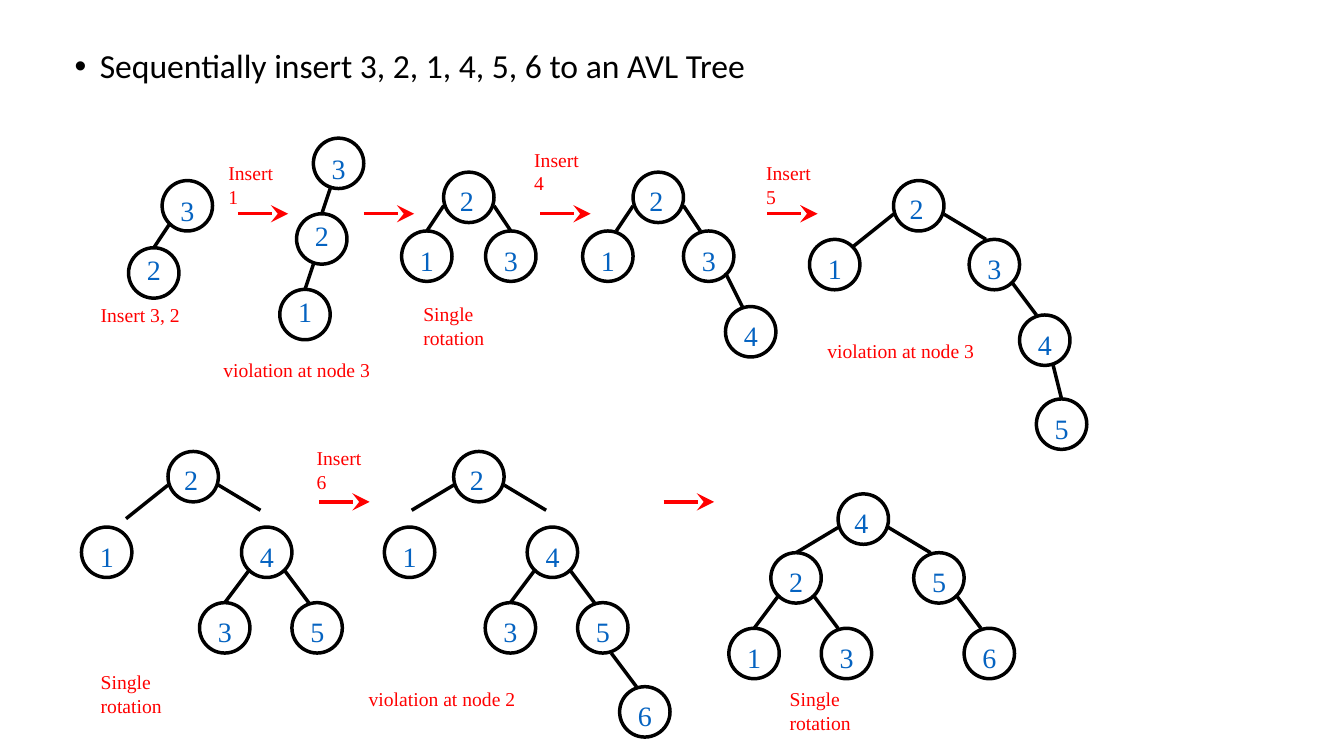
from dataclasses import dataclass
from typing import Optional

from lxml.etree import SubElement
from pptx import Presentation
from pptx.dml.color import RGBColor
from pptx.enum.shapes import MSO_CONNECTOR, MSO_SHAPE
from pptx.enum.text import MSO_AUTO_SIZE
from pptx.oxml.ns import qn
from pptx.util import Inches, Pt

BLACK = RGBColor(0x00, 0x00, 0x00)
RED = RGBColor(0xFF, 0x00, 0x00)
BLUE = RGBColor(0x05, 0x63, 0xC1)

# Grid: twelve columns and twelve rows to the inch; a node spans six.
CELLS_PER_INCH = 12
NODE_SIZE = 6


@dataclass
class Node:
    """A key, its offset from the parent node, and its subtrees."""
    key: int
    across: float = 0
    down: float = 9
    left: Optional["Node"] = None
    right: Optional["Node"] = None


def balanced(key, across, low, high):
    """A node with two leaves."""
    return Node(key, across, left=Node(low, -5), right=Node(high, 6))


# Each root's column and row, then the tree.
TREES = [
    (19.3, 21.5, Node(3, left=Node(2, -4, 8))),
    (37.3, 16.45, Node(3, left=Node(2, -2, left=Node(1, -2)))),
    (52.8, 20.5, Node(2, left=Node(1, -5, 7), right=Node(3, 5, 7))),
    (75.35, 20.5, Node(2, left=Node(1, -6, 7),
                       right=Node(3, 6, 7, right=Node(4, 5)))),
    (106.35, 21.5, Node(2, left=Node(1, -10, 7),
                        right=Node(3, 9, 7, right=Node(4, 6, right=Node(5, 2, 10))))),
    (20, 53.75, Node(2, left=Node(1, -10.3), right=balanced(4, 8.75, 3, 5))),
    (54, 53.75, Node(2, left=Node(1, -8.25), right=balanced(4, 8.75, 3, 5))),
    (99.75, 58.8, Node(4, left=balanced(2, -8, 1, 3),
                       right=Node(5, 9, 7, right=Node(6, 6)))),
]
TREES[6][2].right.right.right = Node(6, 5, 10)
TREES[7][2].left.down = 7

# Each row of arrows, with the columns where they start.
STEP_ARROWS = {25.45: (28.3, 43.3, 64.3, 91.3), 59.75: (38, 79)}

# Each caption, with the columns and rows where it stands.
CAPTIONS = {
    "Insert 3, 2": [(10.8, 35.5)],
    "Insert 1": [(26, 18.6)],
    "Insert 4": [(62.4, 17)],
    "Insert 5": [(90, 18.6)],
    "Insert 6": [(36.5, 52.5)],
    "violation at node 3": [(25.4, 42), (97.3, 39.8)],
    "violation at node 2": [(42.7, 81.2)],
    "Single rotation": [(49.2, 35.4), (10.8, 79.2), (92.8, 81.2)],
}


def cells(*counts):
    return [Inches(count / CELLS_PER_INCH) for count in counts]


def branch_ends(child, from_fork):
    """Start and end of a branch, measured from the parent's corner."""
    leftward = child.across < 0
    if from_fork:
        start = 0 if leftward else NODE_SIZE
        reach = 5 if abs(child.across) >= 8 else 2
        drop = 4 if child.across <= -10 else 3
        return start, 4, start + (-reach if leftward else reach), 4 + drop
    if child.down - abs(child.across) >= 5:
        start, height = (2 if leftward else 4), NODE_SIZE
    else:
        start, height = (1 if leftward else 5), 5
    landing = 3 if leftward or child.across == 2 else 2
    return start, height, child.across + landing, child.down


class TreeSlide:
    font = "Times New Roman"
    line_width = Pt(2.5)

    def __init__(self, presentation):
        self.shapes = presentation.slides.add_slide(presentation.slide_layouts[6]).shapes

    def add_run(self, paragraph, text, size, color, font):
        run = paragraph.add_run()
        run.text = text
        run.font.size = Pt(size)
        run.font.name = font
        run.font.color.rgb = color

    def heading(self, text, column, row, width, height):
        frame = self.shapes.add_textbox(*cells(column, row, width, height)).text_frame
        frame.word_wrap = True
        paragraph = frame.paragraphs[0]
        paragraph.line_spacing = 0.9
        paragraph.space_before = Pt(10)
        indent = Inches(0.25)
        properties = paragraph._p.get_or_add_pPr()
        properties.set("marL", str(indent))
        properties.set("indent", str(-indent))
        SubElement(properties, qn("a:buFont"), typeface="Arial")
        SubElement(properties, qn("a:buChar"), char="•")
        self.add_run(paragraph, text, 24, BLACK, "Calibri")

    def label(self, text, column, row, width, height, size, color):
        frame = self.shapes.add_textbox(*cells(column, row, width, height)).text_frame
        frame.word_wrap = False
        frame.auto_size = MSO_AUTO_SIZE.SHAPE_TO_FIT_TEXT
        self.add_run(frame.paragraphs[0], text, size, color, self.font)

    def caption(self, text, column, row):
        self.label(text, column, row, len(text) + 1.2, 4, 14, RED)

    def node(self, key, column, row, indent, drop):
        circle = self.shapes.add_shape(
            MSO_SHAPE.OVAL, *cells(column, row, NODE_SIZE, NODE_SIZE))
        circle.shadow.inherit = False
        circle.fill.background()
        circle.line.color.rgb = BLACK
        circle.line.width = self.line_width
        self.label(str(key), column + indent, row + drop, 4.1, 5.3, 20, BLUE)

    def line(self, start_column, start_row, end_column, end_row, color):
        connector = self.shapes.add_connector(
            MSO_CONNECTOR.STRAIGHT, *cells(start_column, start_row, end_column, end_row))
        connector.line.color.rgb = color
        connector.line.width = self.line_width
        SubElement(connector._element.spPr, qn("a:effectLst"))
        return connector

    def step_arrow(self, column, row):
        arrow = self.line(column, row, column + NODE_SIZE, row, RED)
        SubElement(arrow.line._get_or_add_ln(), qn("a:tailEnd"),
                   type="stealth", w="lg", len="lg")

    def tree(self, root, column, row):
        is_fork = root.right is not None
        indent, drop = (0.75, 0.75) if is_fork else (1, 1)
        self.node(root.key, column, row, indent, drop)
        self.subtrees(root, column, row, is_fork, 0.85 if is_fork else 0)

    def subtrees(self, parent, column, row, from_fork, key_drop):
        for child in filter(None, (parent.left, parent.right)):
            x1, y1, x2, y2 = branch_ends(child, from_fork)
            self.line(column + x1, row + y1, column + x2, row + y2, BLACK)
            child_column, child_row = column + child.across, row + child.down
            self.node(child.key, child_column, child_row, 1, key_drop)
            self.subtrees(child, child_column, child_row, False, key_drop)


def main():
    presentation = Presentation()
    presentation.slide_width = Inches(13.33)
    presentation.slide_height = Inches(7.5)
    slide = TreeSlide(presentation)
    slide.heading("Sequentially insert 3, 2, 1, 4, 5, 6 to an AVL Tree", 7.7, 5.3, 103, 7)
    for column, row, root in TREES:
        slide.tree(root, column, row)
    for row, columns in STEP_ARROWS.items():
        for column in columns:
            slide.step_arrow(column, row)
    for text, places in CAPTIONS.items():
        for column, row in places:
            slide.caption(text, column, row)
    presentation.save("out.pptx")


if __name__ == "__main__":
    main()
